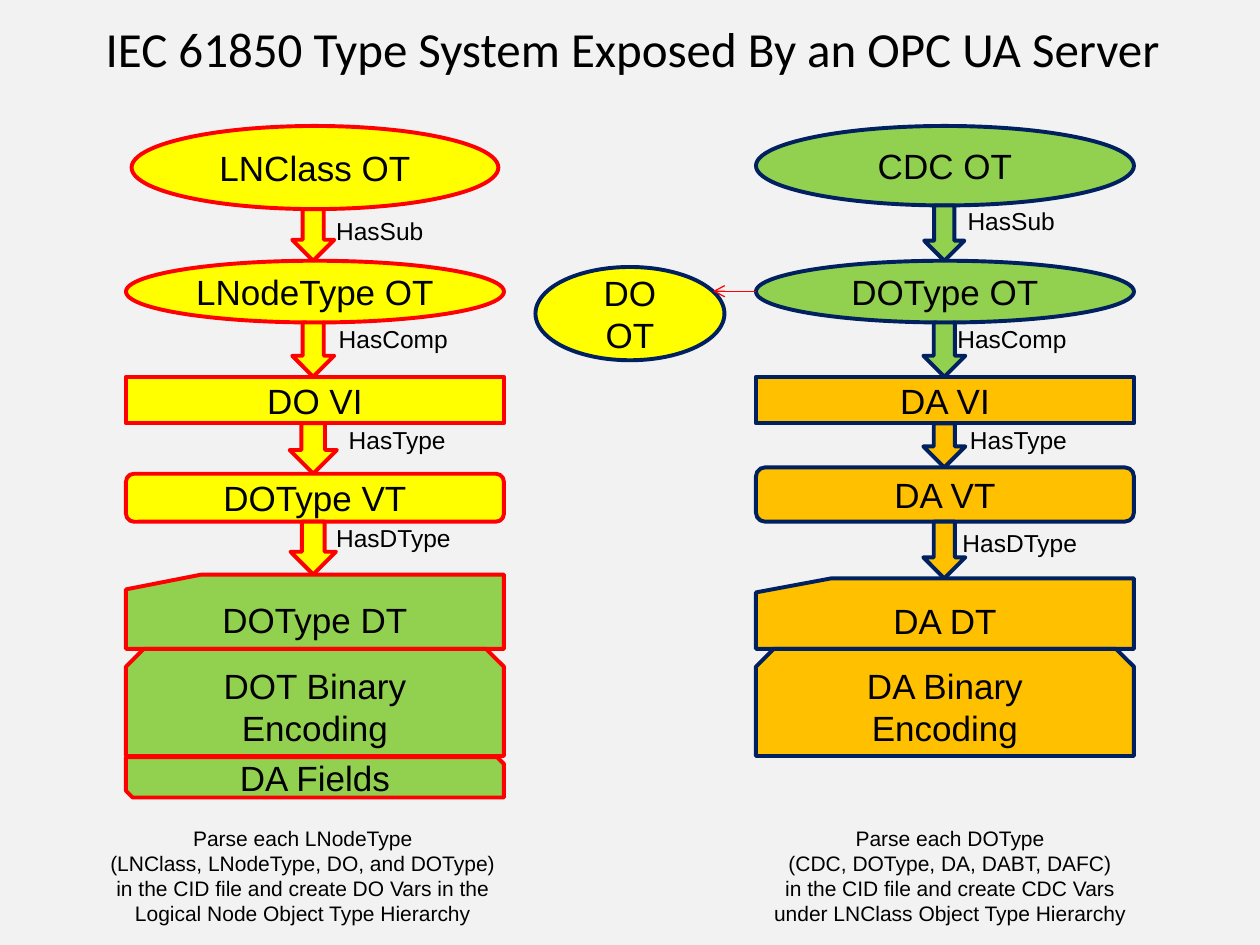
"""Builds the slide on the IEC 61850 type system exposed by an OPC UA server."""
import pptx
import pptx.util
import pptx.dml.color
import pptx.enum.shapes
import pptx.enum.text
import pptx.oxml.ns
from lxml import etree

Pt = pptx.util.Pt
SHAPE = pptx.enum.shapes.MSO_SHAPE
ANCHOR = pptx.enum.text.MSO_ANCHOR
ALIGN = pptx.enum.text.PP_ALIGN

COLORS = {"background": "F2F2F2", "yellow": "FFFF00", "green": "92D050", "orange": "FFC000",
          "red": "FF0000", "navy": "002060", "black": "000000"}
TITLE = "IEC 61850 Type System Exposed By an OPC UA Server"
NODE_WIDTH = 216

# Nodes: text, outline, fill, top, height, side inset. Links: text, label left, label top, arrow width.
HIERARCHIES = [
    {"left": 72, "arrow_center": 179, "line": "red",
     "nodes": [
         ("LNClass OT", SHAPE.OVAL, "yellow", 72, 47.5, 3.2),
         ("LNodeType OT", SHAPE.OVAL, "yellow", 149, 35.3, 0),
         ("DO VI", SHAPE.RECTANGLE, "yellow", 215.3, 26.6, 0),
         ("DOType VT", SHAPE.ROUNDED_RECTANGLE, "yellow", 270.7, 27.4, 0),
         ("DOType DT", SHAPE.FLOWCHART_CARD, "green", 328.3, 42.5, 0),
         ("DOT Binary\nEncoding", SHAPE.SNIP_2_SAME_RECTANGLE, "green", 370.8, 61.2, 0),
         ("DA Fields", SHAPE.SNIP_2_DIAG_RECTANGLE, "green", 432.7, 23, 0)],
     "links": [("HasSub", 185, 119.5, 24), ("HasComp", 186.5, 181.5, 24),
               ("HasType", 192.2, 239, 27), ("HasDType", 185, 295.2, 26)],
     "caption": ["Parse each LNodeType", "(LNClass, LNodeType, DO, and DOType)",
                 "in the CID file and create DO Vars in the Logical Node Object Type Hierarchy"],
     "caption_box": (51.8, 468, 242.6, 65.5)},
    {"left": 432, "arrow_center": 539.6, "line": "navy",
     "nodes": [
         ("CDC OT", SHAPE.OVAL, "green", 72, 45.4, 0),
         ("DOType OT", SHAPE.OVAL, "green", 149, 35.3, 0),
         ("DA VI", SHAPE.RECTANGLE, "orange", 215.3, 26.6, 0),
         ("DA VT", SHAPE.ROUNDED_RECTANGLE, "orange", 267.1, 31, 0),
         ("DA DT", SHAPE.FLOWCHART_CARD, "orange", 330.5, 40.3, 0),
         ("DA Binary\nEncoding", SHAPE.SNIP_2_SAME_RECTANGLE, "orange", 370.8, 61.2, 0)],
     "links": [("HasSub", 545.8, 113.8, 23), ("HasComp", 540, 181.5, 24),
               ("HasType", 547.2, 239, 24), ("HasDType", 542.9, 298, 24)],
     "caption": ["Parse each DOType", "(CDC, DOType, DA, DABT, DAFC)",
                 "in the CID file and create CDC Vars under LNClass Object Type Hierarchy"],
     "caption_box": (432, 468, 221.8, 65.5)},
]
DO_TYPE = ("DO\nOT", SHAPE.OVAL, "yellow", "navy", (306, 152.6, 108, 53.3))
DO_LINK = (432, 166.4, 407.5, 166.4)


def color(name):
    return pptx.dml.color.RGBColor.from_string(COLORS[name])


def write(frame, text, size, align, anchor, font="Arial"):
    frame.word_wrap = True
    frame.vertical_anchor = anchor
    frame.text = text
    for paragraph in frame.paragraphs:
        paragraph.alignment = align
        paragraph.font.size = Pt(size)
        paragraph.font.name = font
        paragraph.font.color.rgb = color("black")


def add_node(text, outline, fill, line, box):
    node = slide.shapes.add_shape(outline, *map(Pt, box))
    node.shadow.inherit = False
    node.fill.solid()
    node.fill.fore_color.rgb = color(fill)
    node.line.color.rgb = color(line)
    node.line.width = Pt(2.25)
    if text:
        frame = node.text_frame
        frame.margin_left = frame.margin_right = frame.margin_top = frame.margin_bottom = 0
        write(frame, text, 20, ALIGN.CENTER, ANCHOR.MIDDLE)


def add_text(text, box, size, align, anchor):
    write(slide.shapes.add_textbox(*map(Pt, box)).text_frame, text, size, align, anchor)


deck = pptx.Presentation()
deck.slide_width, deck.slide_height = Pt(720), Pt(540)
slide = deck.slides.add_slide(deck.slide_layouts[5])
slide.background.fill.solid()
slide.background.fill.fore_color.rgb = color("background")

title = slide.shapes.title
title.left, title.top, title.width, title.height = map(Pt, (33.8, 7.2, 655.2, 41))
write(title.text_frame, TITLE, 28, ALIGN.CENTER, ANCHOR.TOP, "Calibri")
title.text_frame.auto_size = pptx.enum.text.MSO_AUTO_SIZE.NONE

for hierarchy in HIERARCHIES:
    nodes, line = hierarchy["nodes"], hierarchy["line"]
    for text, outline, fill, top, height, inset in nodes:
        add_node(text, outline, fill, line,
                 (hierarchy["left"] + inset, top, NODE_WIDTH - 2 * inset, height))
    for source, target, link in zip(nodes, nodes[1:], hierarchy["links"]):
        label, label_left, label_top, arrow_width = link
        start = source[3] + source[4]
        add_node("", SHAPE.DOWN_ARROW, source[2], line,
                 (hierarchy["arrow_center"] - arrow_width / 2, start, arrow_width, target[3] - start))
        add_text(label, (label_left, label_top, 84.2, 24.5), 14, ALIGN.LEFT, ANCHOR.MIDDLE)
    add_text("\n".join(hierarchy["caption"]), hierarchy["caption_box"], 12, ALIGN.CENTER, ANCHOR.TOP)

add_node(*DO_TYPE)
do_link = slide.shapes.add_connector(pptx.enum.shapes.MSO_CONNECTOR.STRAIGHT, *map(Pt, DO_LINK))
do_link.line.color.rgb = color("red")
do_link.line.width = Pt(0.75)
qn = pptx.oxml.ns.qn
etree.SubElement(do_link.line._get_or_add_ln(), qn("a:tailEnd"), type="arrow")
etree.SubElement(do_link._element.spPr, qn("a:effectLst"))

deck.save("out.pptx")
